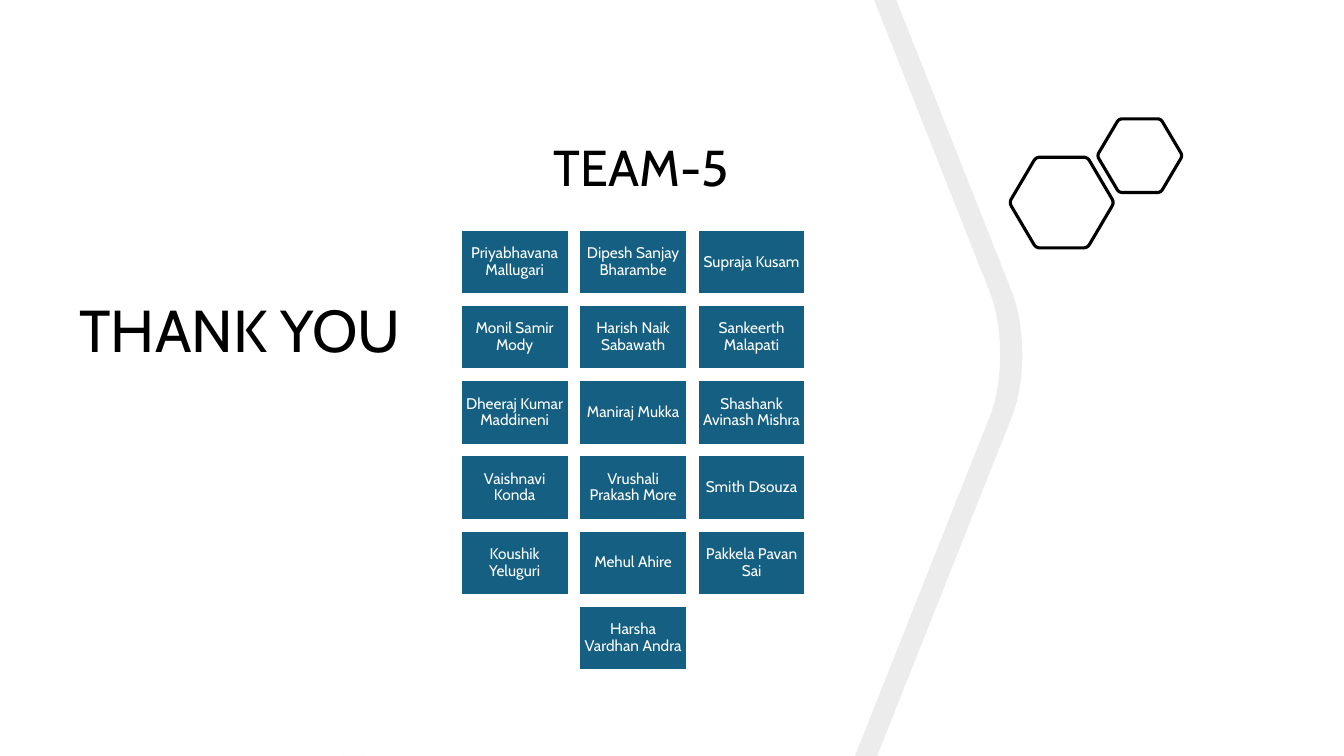
from lxml import etree
from pptx import Presentation, util as u
from pptx.dml.color import RGBColor
from pptx.enum import shapes, text
from pptx.oxml.ns import qn

TITLES = [
    ("TEAM-5", 36, (5.39, 1.3, 3.4, 0.71)),
    ("THANK YOU", 42.2, (0.69, 2.86, 4.4, 0.81)),
]
TEAM = [
    ["Priyabhavana Mallugari", "Dipesh Sanjay Bharambe", "Supraja Kusam"],
    ["Monil Samir Mody", "Harish Naik Sabawath", "Sankeerth Malapati"],
    ["Dheeraj Kumar Maddineni", "Maniraj Mukka", "Shashank Avinash Mishra"],
    ["Vaishnavi Konda", "Vrushali Prakash More", "Smith Dsouza"],
    ["Koushik Yeluguri", "Mehul Ahire", "Pakkela Pavan Sai"],
    ["Harsha Vardhan Andra"],
]
HEXES = [(10.02, 1.56, 1.02, 0.9), (10.89, 1.18, 0.83, 0.73)]
CORNERS = [(0.25, 0), (0.75, 0), (1.01, 0.5), (0.75, 1), (0.25, 1), (-0.01, 0.5)]
BEND = [(10.05, 2.93), (10.17, 3.27), (10.17, 3.77), (10.05, 4.1)]
BAND = 0.22
SLIVER = [(3.4, 7.5), (3.62, 7.5)]
COLORS = {"ink": "000000", "tile": "156082", "white": "FFFFFF", "band": "808080"}
FONT = "Cabin"
LEFT, TOP, WIDE, HIGH = 4.57, 2.28, 1.07, 0.64
STEP_X, STEP_Y = 2.35 / 2, 3.73 / 5
COLS = 3


def color(name):
    return RGBColor.from_string(COLORS[name])


def mix(a, b, t):
    return tuple(p + (q - p) * t for p, q in zip(a, b))


def curve(points, t):
    while len(points) > 1:
        points = [mix(a, b, t) for a, b in zip(points, points[1:])]
    return points[0]


def trace(points, count=12):
    return [curve(points, i / count) for i in range(count + 1)]


def outline(slide, *loops):
    loops = [[(u.Inches(x), u.Inches(y)) for x, y in loop] for loop in loops]
    pen = slide.shapes.build_freeform(*loops[0][0])
    for i, loop in enumerate(loops):
        if i:
            pen.move_to(*loop[0])
        pen.add_line_segments(loop[1:], close=True)
    shape = pen.convert_to_shape()
    shape.shadow.inherit = False
    return shape


def write(para, words, size, tint):
    run = para.add_run()
    run.text = words
    run.font.name = FONT
    run.font.size = u.Pt(size)
    run.font.color.rgb = color(tint)


def add_band(slide):
    edge = [(8.89, 0), *trace(BEND), (8.7, 7.5)]
    inner = [(x - BAND, y) for x, y in reversed(edge)]
    band = outline(slide, SLIVER, edge + inner)
    band.fill.solid()
    band.fill.fore_color.rgb = color("band")
    fill = band.fill._xPr.find(qn("a:solidFill"))
    etree.SubElement(fill[0], qn("a:alpha")).set("val", "15000")
    band.line.fill.background()


def add_hex(slide, left, top, wide, high):
    spots = [(left + x * wide, top + y * high) for x, y in CORNERS]
    loop = []
    for i, spot in enumerate(spots):
        last, after = spots[i - 1], spots[(i + 1) % len(spots)]
        loop += trace([mix(spot, last, 0.08), spot, mix(spot, after, 0.08)], 6)
    ring = outline(slide, loop)
    ring.fill.background()
    ring.line.color.rgb = color("ink")
    ring.line.width = u.Pt(2.25)


def add_title(slide, words, size, spot):
    frame = slide.shapes.add_textbox(*map(u.Inches, spot)).text_frame
    frame.word_wrap = True
    frame.auto_size = text.MSO_AUTO_SIZE.SHAPE_TO_FIT_TEXT
    para = frame.paragraphs[0]
    para.space_after = u.Pt(6)
    write(para, words, size, "ink")


def add_tile(slide, name, left, top):
    spot = map(u.Inches, (left, top, WIDE, HIGH))
    tile = slide.shapes.add_shape(shapes.MSO_SHAPE.RECTANGLE, *spot)
    tile.shadow.inherit = False
    tile.fill.solid()
    tile.fill.fore_color.rgb = color("tile")
    tile.line.color.rgb = color("white")
    tile.line.width = u.Pt(1.5)
    frame = tile.text_frame
    frame.word_wrap = True
    frame.vertical_anchor = text.MSO_ANCHOR.MIDDLE
    frame.margin_left = frame.margin_right = u.Inches(0.05)
    frame.margin_top = frame.margin_bottom = u.Inches(0.05)
    para = frame.paragraphs[0]
    para.alignment = text.PP_ALIGN.CENTER
    para.line_spacing = 0.9
    write(para, name, 11, "white")


def main():
    deck = Presentation()
    deck.slide_width, deck.slide_height = u.Inches(13.33), u.Inches(7.5)
    slide = deck.slides.add_slide(deck.slide_layouts[6])
    add_band(slide)
    for spot in HEXES:
        add_hex(slide, *spot)
    for title in TITLES:
        add_title(slide, *title)
    for row, names in enumerate(TEAM):
        shift = (COLS - len(names)) / 2
        for col, name in enumerate(names):
            add_tile(slide, name, LEFT + (col + shift) * STEP_X, TOP + row * STEP_Y)
    deck.save("out.pptx")


if __name__ == "__main__":
    main()
